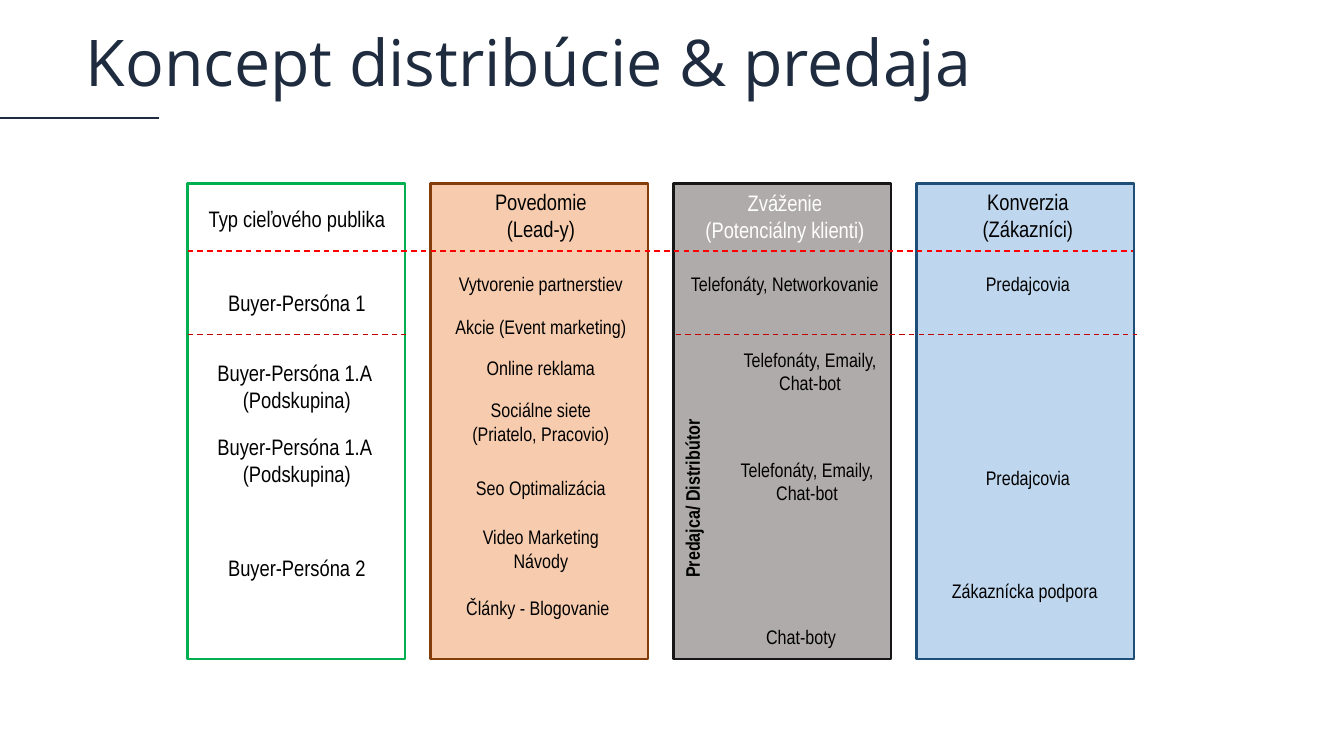
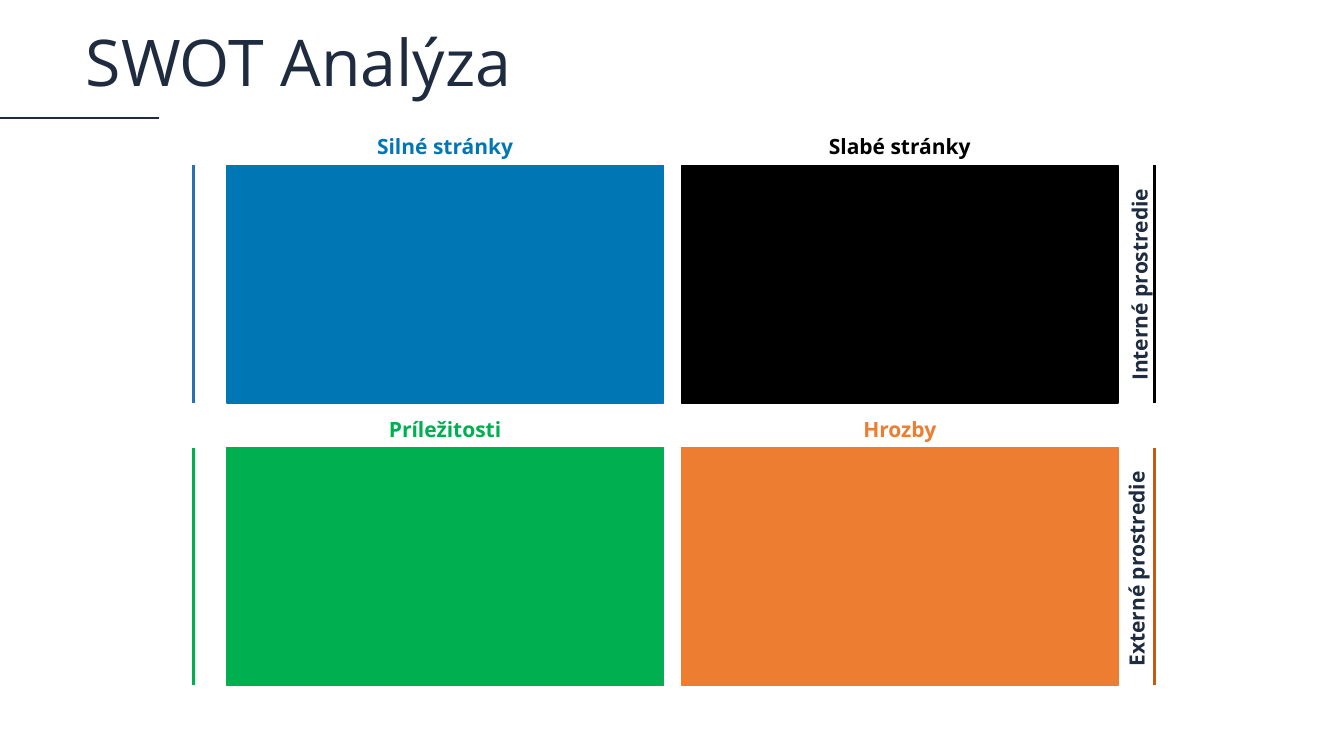
from dataclasses import dataclass

from lxml.etree import SubElement
from pptx import Presentation
from pptx.dml.color import RGBColor as RGB
from pptx.enum.dml import MSO_LINE_DASH_STYLE as Dash
from pptx.enum.shapes import MSO_CONNECTOR as Connector, MSO_SHAPE as Shape
from pptx.enum.text import MSO_ANCHOR as Anchor, MSO_AUTO_SIZE as AutoSize, PP_ALIGN as Align
from pptx.oxml.ns import qn
from pptx.util import Inches, Pt


@dataclass(frozen=True)
class Theme:
    navy: str = "1F2C3F"
    black: str = "000000"
    white: str = "FFFFFF"
    green: str = "00B050"
    blue: str = "0077B5"
    blue_bar: str = "2A70B8"
    orange: str = "ED7D31"
    orange_bar: str = "C55A11"
    peach: str = "F4B183"
    brown: str = "843C0B"
    gray: str = "AFABAB"
    charcoal: str = "181717"
    sky: str = "9DC3E6"
    deep_blue: str = "1F4E79"
    red: str = "FF0000"
    dark_red: str = "C00000"
    heading_font: str = "Open Sans"
    body_font: str = "Arial Narrow"
    title_size: float = 46
    head_size: float = 16
    label_size: float = 15
    body_size: float = 14


T = Theme()


def write(tf, text, font=T.body_font, size=T.body_size, color=T.black, bold=False,
          align=Align.CENTER, line_spacing=None, space_after=None):
    p = tf.paragraphs[0]
    p.alignment = align
    if line_spacing is not None:
        p.line_spacing = line_spacing
    if space_after is not None:
        p.space_after = Pt(space_after)
    for i, line in enumerate(text.split("\n")):
        if i:
            p.add_line_break()
        r = p.add_run()
        r.text = line
        r.font.name = font
        r.font.size = Pt(size)
        r.font.bold = bold
        r.font.color.rgb = RGB.from_string(color)


class Deck:
    def __init__(self, theme):
        self.theme = theme
        self.prs = Presentation()
        self.prs.slide_width = Inches(13.33)
        self.prs.slide_height = Inches(7.5)
        self.s = None

    def slide(self, title):
        t = self.theme
        self.s = self.prs.slides.add_slide(self.prs.slide_layouts[6])
        self.line(0, 1.17, 1.58, 1.17, t.navy, 1.5)
        self.text(0.85, 0.44, 12.59, 0.43, title, flush=True, grow=False,
                  font=t.heading_font, size=t.title_size, color=t.navy,
                  align=Align.LEFT, line_spacing=0.9)

    def rect(self, x, y, w, h, fill, line, weight, alpha=None):
        sp = self.s.shapes.add_shape(Shape.RECTANGLE, Inches(x), Inches(y), Inches(w), Inches(h))
        sp.shadow.inherit = False
        if fill is None:
            sp.fill.background()
        else:
            sp.fill.solid()
            sp.fill.fore_color.rgb = RGB.from_string(fill)
        if alpha is not None:
            clr = sp.element.spPr.find(qn("a:solidFill")).find(qn("a:srgbClr"))
            SubElement(clr, qn("a:alpha"), val=str(alpha * 1000))
        sp.line.color.rgb = RGB.from_string(line)
        sp.line.width = Pt(weight)

    def line(self, x1, y1, x2, y2, color, weight, dash=None):
        ln = self.s.shapes.add_connector(Connector.STRAIGHT, Inches(x1), Inches(y1),
                                         Inches(x2), Inches(y2))
        ln.line.color.rgb = RGB.from_string(color)
        ln.line.width = Pt(weight)
        if dash is not None:
            ln.line.dash_style = dash
        SubElement(ln.element.spPr, qn("a:effectLst"))

    def text(self, x, y, w, h, text, flush=False, grow=True, rotation=0, **fmt):
        tb = self.s.shapes.add_textbox(Inches(x), Inches(y), Inches(w), Inches(h))
        tb.rotation = rotation
        tf = tb.text_frame
        tf.word_wrap = True
        tf.auto_size = AutoSize.SHAPE_TO_FIT_TEXT if grow else AutoSize.NONE
        if flush:
            tf.margin_left = tf.margin_right = tf.margin_top = tf.margin_bottom = 0
            tf.vertical_anchor = Anchor.MIDDLE
        write(tf, text, **fmt)

    def label(self, x, y, w, text, color, rotation=0):
        t = self.theme
        self.text(x, y, w, 0.25, text, flush=True, rotation=rotation, font=t.heading_font,
                  size=t.label_size, color=color, bold=True, space_after=12)

    def note(self, x, y, text, w=2.17, **fmt):
        size = fmt.get("size", self.theme.body_size)
        height = 0.1 + (text.count("\n") + 1) * size / 60
        self.text(x, y, w, height, text, **fmt)


def distribution_slide(deck):
    deck.slide("Koncept distribúcie & predaja")
    left, top, pitch, width, height = 1.86, 1.82, 2.41, 2.16, 4.72
    columns = [
        (None, T.green, None),
        (T.peach, T.brown, 65),
        (T.gray, T.charcoal, None),
        (T.sky, T.deep_blue, 65),
    ]
    for i, (fill, border, alpha) in enumerate(columns):
        deck.rect(left + i * pitch, top, width, height, fill, border, 1.5, alpha)

    for x1, x2, y, color in [(1.86, 11.24, 2.49, T.red), (1.86, 4.03, 3.32, T.dark_red),
                             (6.7, 11.28, 3.32, T.dark_red)]:
        deck.line(x1, y, x2, y, color, 1, Dash.DASH)

    audience, awareness, consideration, conversion = 1.86, 4.28, 6.7, 9.11
    headings = [
        (audience, 1.99, "Typ cieľového publika", T.black),
        (awareness, 1.82, "Povedomie\n(Lead-y)", T.black),
        (consideration, 1.83, "Zváženie\n(Potenciálny klienti)", T.white),
        (conversion, 1.82, "Konverzia\n(Zákazníci)", T.black),
        (audience, 2.82, "Buyer-Persóna 1", T.black),
        (audience, 3.51, "Buyer-Persóna 1.A \n(Podskupina)", T.black),
        (audience, 4.25, "Buyer-Persóna 1.A \n(Podskupina)", T.black),
        (audience, 5.45, "Buyer-Persóna 2", T.black),
    ]
    for x, y, text, color in headings:
        deck.note(x, y, text, size=T.head_size, color=color)

    activities = [
        (awareness, 2.65, "Vytvorenie partnerstiev"),
        (awareness, 3.07, "Akcie (Event marketing)"),
        (awareness, 3.48, "Online reklama"),
        (awareness, 3.9, "Sociálne siete\n(Priatelo, Pracovio)"),
        (awareness, 4.67, "Seo Optimalizácia"),
        (awareness, 5.16, "Video Marketing\nNávody"),
        (4.25, 5.86, "Články - Blogovanie"),
        (consideration, 2.65, "Telefonáty, Networkovanie"),
        (6.86, 6.15, "Chat-boty"),
        (conversion, 2.65, "Predajcovia"),
        (conversion, 4.57, "Predajcovia"),
        (9.08, 5.69, "Zákaznícka podpora"),
    ]
    for x, y, text in activities:
        deck.note(x, y, text)
    for x, y in [(7.2, 3.4), (7.17, 4.49)]:
        deck.note(x, y, "Telefonáty, Emaily, Chat-bot", w=1.67)
    deck.note(5.24, 4.78, "Predajca/ Distribútor", w=3.25, rotation=270, bold=True)


def swot_slide(deck):
    deck.slide("SWOT Analýza")
    left, top, width, height = 2.25, 1.64, 4.33, 2.36
    col_pitch, row_pitch = 4.51, 2.8
    rows = [
        ([("Silné stránky", T.blue), ("Slabé stránky", T.black)],
         (T.blue_bar, T.black), "Interné prostredie", 1.32, 10.12, 2.7),
        ([("Príležitosti", T.green), ("Hrozby", T.orange)],
         (T.green, T.orange_bar), "Externé prostredie", 4.13, 10.09, 5.52),
    ]
    for i, (quadrants, bars, side, label_y, side_x, side_y) in enumerate(rows):
        y = top + i * row_pitch
        for j, (text, color) in enumerate(quadrants):
            x = left + j * col_pitch
            deck.rect(x, y, width, height, color, color, 1)
            deck.label(x, label_y, width, text, color)
        for x, color in zip((1.92, 11.45), bars):
            deck.line(x, y, x, y + height, color, 2.25)
        deck.label(side_x, side_y, height, side, T.navy, rotation=270)


def main():
    deck = Deck(T)
    distribution_slide(deck)
    swot_slide(deck)
    deck.prs.save("out.pptx")


if __name__ == "__main__":
    main()
